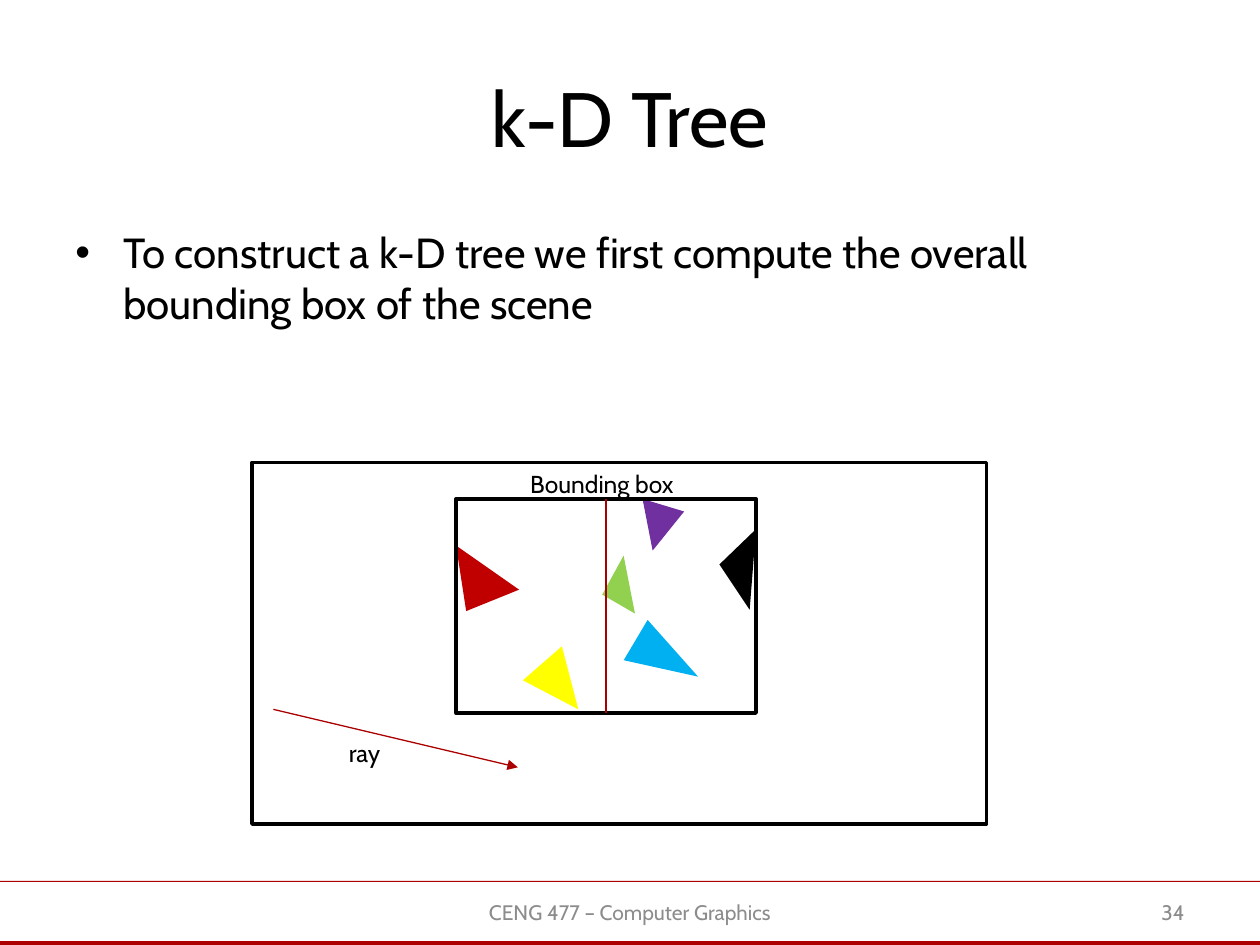
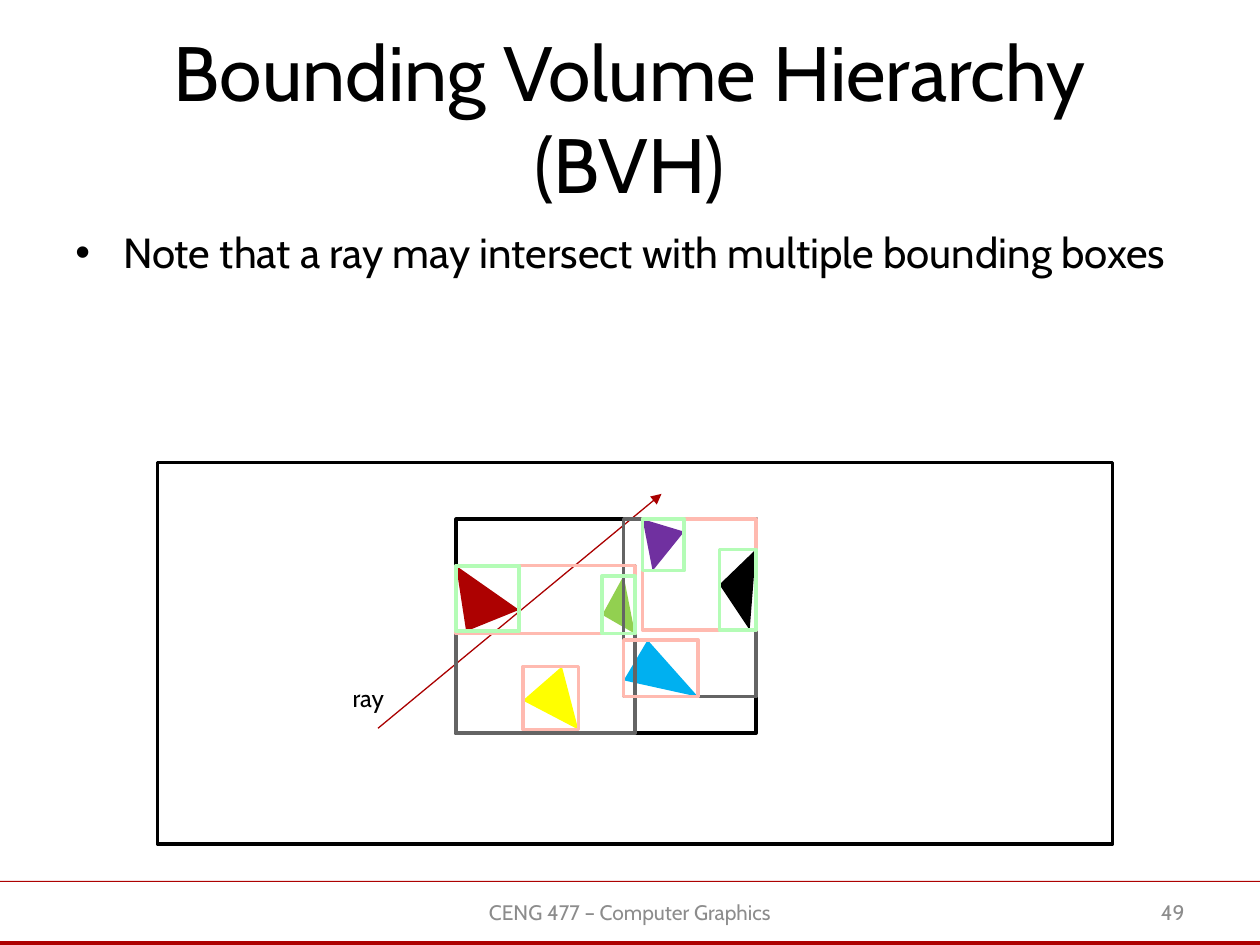
"""Build two slides on spatial acceleration structures for ray tracing."""
from dataclasses import dataclass

from lxml.etree import SubElement
from pptx import Presentation
from pptx.dml.color import RGBColor
from pptx.enum.shapes import MSO_CONNECTOR as Connector, MSO_SHAPE as Shape
from pptx.enum.text import MSO_ANCHOR as Anchor, MSO_AUTO_SIZE as AutoSize, PP_ALIGN as Align
from pptx.oxml.ns import qn
from pptx.util import Inches, Pt


@dataclass(frozen=True)
class Theme:
    """Colours, font and type sizes of the deck."""
    font: str = "Cabin"
    ink: str = "000000"
    paper: str = "FFFFFF"
    band: str = "AD0101"
    arrow: str = "AA0000"
    muted: str = "8C8C8C"
    upper_node: str = "646464"
    middle_node: str = "FFBAB0"
    leaf_node: str = "B4FCB6"
    title: int = 44
    body: int = 24
    label: int = 14
    footer: int = 12
    outline: float = 2
    hairline: float = 0.75


THEME = Theme()
COLUMNS, ROWS, MARGIN = 10, 7.5, 0.5
CELL = Inches(1)
FOOTER = "CENG 477 – Computer Graphics"
BANDS = [(6.99, 0.01), (7.47, 0.03)]

SCENE_LEFT, SCENE_WIDTH, SCENE_HEIGHT = 3.62, 2.38, 1.7
TRIANGLES = {
    "red": [(0.08, 0.89), (0, 0.37), (0.5, 0.72)],
    "yellow": [(0.84, 1.17), (0.53, 1.44), (0.97, 1.67)],
    "green": [(1.33, 0.45), (1.16, 0.76), (1.42, 0.91)],
    "black": [(2.38, 0.24), (2.09, 0.52), (2.33, 0.88)],
    "blue": [(1.52, 0.96), (1.33, 1.28), (1.92, 1.41)],
    "purple": [(1.48, 0), (1.56, 0.41), (1.81, 0.1)],
}
FILLS = {"red": "C00000", "yellow": "FFFF00", "green": "92D050",
         "black": "000000", "blue": "00B0F0", "purple": "7030A0"}
CORNER = {"corner": [(0, SCENE_HEIGHT)]}
HIERARCHY = [
    (THEME.upper_node, ["red yellow green corner", "purple black blue"]),
    (THEME.middle_node, ["red green", "yellow", "purple black", "blue"]),
    (THEME.leaf_node, ["red", "green", "black", "purple"]),
]

SLIDES = [
    dict(title="k-D Tree", number=34,
         point="To construct a k-D tree we first compute the overall bounding box of the scene",
         frame=(2, 3.67, 5.83, 2.87), scene_top=3.96, fills=FILLS,
         ray=((2.17, 5.63), (4.11, 6.09)), ray_label=(2.67, 5.81),
         caption="Bounding box", split=True, hierarchy=[]),
    dict(title="Bounding Volume Hierarchy (BVH)", number=49,
         point="Note that a ray may intersect with multiple bounding boxes",
         frame=(1.25, 3.67, 7.58, 3.03), scene_top=4.12, fills=FILLS | {"red": THEME.band},
         ray=((3, 5.78), (5.25, 3.92)), ray_label=(2.7, 5.37),
         caption=None, split=False, hierarchy=HIERARCHY),
]


def emu(*cells):
    """Convert grid cells to whole drawing units."""
    return [round(cell * CELL) for cell in cells]


def paint(shape, fill=None, line=None):
    """Give a shape a flat fill and outline, or none."""
    shape.shadow.inherit = False
    if fill:
        shape.fill.solid()
        shape.fill.fore_color.rgb = RGBColor.from_string(fill)
    else:
        shape.fill.background()
    if line:
        shape.line.color.rgb = RGBColor.from_string(line)
        shape.line.width = Pt(THEME.outline)
    else:
        shape.line.fill.background()


def add_rectangle(slide, place, fill=None, line=None):
    """Draw a rectangle at left, top, width, height."""
    paint(slide.shapes.add_shape(Shape.RECTANGLE, *emu(*place)), fill, line)


def add_text(slide, place, text, size, color=THEME.ink, align=Align.LEFT,
             anchor=Anchor.TOP, wrap=True, bullet=False):
    """Write one paragraph in a text box."""
    frame = slide.shapes.add_textbox(*emu(*place)).text_frame
    frame.word_wrap = wrap
    frame.auto_size = AutoSize.NONE if wrap else AutoSize.SHAPE_TO_FIT_TEXT
    frame.vertical_anchor = anchor
    frame.text = text
    para = frame.paragraphs[0]
    para.alignment = align
    if bullet:
        add_bullet(para)
    for span in para.runs:
        span.font.name = THEME.font
        span.font.size = Pt(size)
        span.font.color.rgb = RGBColor.from_string(color)


def add_bullet(para):
    """Give a paragraph a hanging round bullet."""
    properties = para._p.get_or_add_pPr()
    indent = emu(0.38)[0]
    properties.set("marL", str(indent))
    properties.set("indent", str(-indent))
    color = SubElement(properties, qn("a:buClr"))
    SubElement(color, qn("a:srgbClr"), val=THEME.ink)
    SubElement(properties, qn("a:buFont"), typeface="Arial")
    SubElement(properties, qn("a:buChar"), char="•")


def add_line(slide, start, end, arrow=False):
    """Draw a thin straight line, with an arrowhead if asked."""
    line = slide.shapes.add_connector(Connector.STRAIGHT, *emu(*start, *end))
    line.line.color.rgb = RGBColor.from_string(THEME.arrow)
    line.line.width = Pt(THEME.hairline)
    if arrow:
        SubElement(line.line._get_or_add_ln(), qn("a:tailEnd"), type="triangle")
    SubElement(line._element.spPr, qn("a:effectLst"))


def add_triangle(slide, corners, top, fill):
    """Draw one scene triangle."""
    first, *others = [emu(SCENE_LEFT + x, top + y) for x, y in corners]
    builder = slide.shapes.build_freeform(*first)
    builder.add_line_segments(others, close=True)
    paint(builder.convert_to_shape(), fill)


def bounds(names, top):
    """Return the box that encloses the named parts of the scene."""
    parts = TRIANGLES | CORNER
    xs, ys = zip(*(point for name in names.split() for point in parts[name]))
    return SCENE_LEFT + min(xs), top + min(ys), max(xs) - min(xs), max(ys) - min(ys)


def add_master_parts(slide, content):
    """Add the bands, title, body point and footer."""
    for top, height in BANDS:
        add_rectangle(slide, (0, top, COLUMNS, height), THEME.band)
    width = COLUMNS - 2 * MARGIN
    add_text(slide, (MARGIN, 0.3, width, 1.25), content["title"], THEME.title,
             align=Align.CENTER, anchor=Anchor.MIDDLE)
    add_text(slide, (MARGIN, 1.75, width, 4.95), content["point"], THEME.body, bullet=True)
    footers = [(FOOTER, (COLUMNS - 3.17) / 2, 3.17, Align.CENTER),
               (str(content["number"]), COLUMNS - MARGIN - 2.33, 2.33, Align.RIGHT)]
    for text, left, wide, align in footers:
        add_text(slide, (left, 7.04, wide, 0.4), text, THEME.footer, THEME.muted,
                 align, Anchor.MIDDLE)


def add_diagram(slide, content):
    """Draw the framed scene, its ray and its subdivisions."""
    frame, top = content["frame"], content["scene_top"]
    middle = SCENE_LEFT + SCENE_WIDTH / 2
    add_rectangle(slide, frame, THEME.paper, THEME.ink)
    for name, corners in TRIANGLES.items():
        add_triangle(slide, corners, top, content["fills"][name])
    add_rectangle(slide, (SCENE_LEFT, top, SCENE_WIDTH, SCENE_HEIGHT), line=THEME.ink)
    if content["caption"]:
        add_text(slide, (middle - 0.7, frame[1], 1.4, 0.34), content["caption"],
                 THEME.label, wrap=False)
    add_line(slide, *content["ray"], arrow=True)
    add_text(slide, (*content["ray_label"], 0.47, 0.34), "ray", THEME.label, wrap=False)
    if content["split"]:
        add_line(slide, (middle, top + SCENE_HEIGHT), (middle, top))
    for color, nodes in content["hierarchy"]:
        for names in nodes:
            add_rectangle(slide, bounds(names, top), line=color)


def main():
    """Build and save the deck."""
    deck = Presentation()
    deck.slide_width, deck.slide_height = emu(COLUMNS, ROWS)
    for content in SLIDES:
        slide = deck.slides.add_slide(deck.slide_layouts[6])
        add_master_parts(slide, content)
        add_diagram(slide, content)
    deck.save("out.pptx")


if __name__ == "__main__":
    main()
